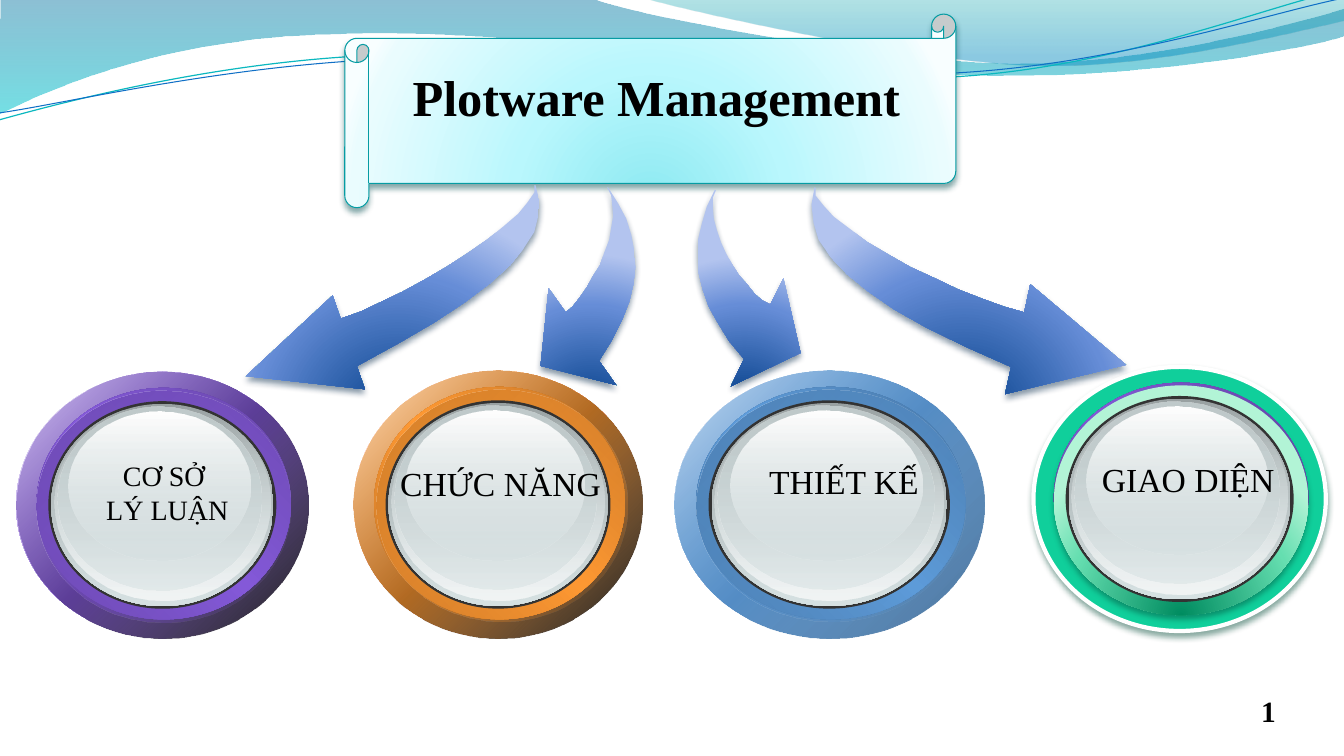
import math
from dataclasses import dataclass
from typing import Optional, Union

import pptx
import pptx.dml.color
import pptx.enum.shapes
import pptx.enum.text
import pptx.oxml.ns
import pptx.util
from lxml import etree

Inches, Pt = pptx.util.Inches, pptx.util.Pt
MSO_SHAPE = pptx.enum.shapes.MSO_SHAPE
ALIGN = pptx.enum.text.PP_ALIGN
qn = pptx.oxml.ns.qn
FONT = "Times New Roman"
Box = tuple[float, float, float, float]
Point = tuple[float, float]


@dataclass
class Gradient:
    """Stops are (position %, colour[, opacity %]); no angle means radial."""
    stops: list[tuple]
    angle: Optional[int] = None


Fill = Union[str, Gradient, None]


@dataclass
class Outline:
    """A segment of one point is a line, of three points a curve."""
    start: Point
    segments: list[list[Point]]
    fill: Fill = None
    line: Optional[tuple[str, float]] = None
    box: Optional[Box] = None
    rotation: float = 0
    shadow: Optional[str] = None


@dataclass
class Ring:
    box: Box  # fractions of the orb's box
    fill: Fill
    line: Optional[tuple[str, float]] = None
    shadow: Optional[str] = None


@dataclass
class Orb:
    box: Box
    rims: list[Ring]
    label: list[str]
    label_box: Box
    size: int = 24
    wrap: bool = True


def sub(parent, tag: str, **attrs):
    return etree.SubElement(parent, qn(tag), {k: str(v) for k, v in attrs.items()})


def rgb(color: str):
    return pptx.dml.color.RGBColor.from_string(color)


def paint(sp, fill: Fill, line=None, shadow: Optional[str] = None) -> None:
    sp.shadow.inherit = False
    if fill is None:
        sp.fill.background()
    else:
        sp.fill.solid()
        sp.fill.fore_color.rgb = rgb(fill if isinstance(fill, str) else "FFFFFF")
    if isinstance(fill, Gradient):
        solid = sp._element.spPr.find(qn("a:solidFill"))
        grad = etree.Element(qn("a:gradFill"), rotWithShape="1")
        stops = sub(grad, "a:gsLst")
        for pos, color, *alpha in fill.stops:
            clr = sub(sub(stops, "a:gs", pos=pos * 1000), "a:srgbClr", val=color)
            for a in alpha:
                sub(clr, "a:alpha", val=a * 1000)
        if fill.angle is None:
            sub(sub(grad, "a:path", path="circle"), "a:fillToRect",
                l=50000, t=130000, r=50000, b=-30000)
        else:
            sub(grad, "a:lin", ang=fill.angle * 60000, scaled=1)
        solid.getparent().replace(solid, grad)
    if line:
        sp.line.color.rgb = rgb(line[0])
        sp.line.width = Pt(line[1])
    else:
        sp.line.fill.background()
    if shadow:
        outer = sub(sp._element.spPr.find(qn("a:effectLst")), "a:outerShdw", blurRad=Pt(4.5),
                    dist=Pt(3), dir=90 * 60000, algn="ctr", rotWithShape=0)
        sub(sub(outer, "a:srgbClr", val=shadow), "a:alpha", val=48000)


def write(tf, lines: list[str], size: int, align=ALIGN.CENTER, bold: bool = False) -> None:
    for i, text in enumerate(lines):
        p = tf.add_paragraph() if i else tf.paragraphs[0]
        p.alignment = align
        r = p.add_run()
        r.text = text
        r.font.name, r.font.size, r.font.bold = FONT, Pt(size), bold
        r.font.color.rgb = rgb("000000")


def add_label(shapes, box: Box, lines: list[str], size: int, wrap: bool = True, **style) -> None:
    tf = shapes.add_textbox(*map(Inches, box)).text_frame
    tf.word_wrap = wrap
    write(tf, lines, size, **style)


def add_outline(shapes, o: Outline) -> None:
    """Turn the points back about the box centre, then rotate the shape itself."""
    def place(pt: Point) -> Point:
        x, y = pt
        if o.box:
            cx, cy = o.box[0] + o.box[2] / 2, o.box[1] + o.box[3] / 2
            a = math.radians(-o.rotation)
            dx, dy = x - cx, y - cy
            x = cx + dx * math.cos(a) - dy * math.sin(a)
            y = cy + dx * math.sin(a) + dy * math.cos(a)
        return Inches(x), Inches(y)

    builder = shapes.build_freeform(*place(o.start))
    builder.add_line_segments([place(pt) for seg in o.segments for pt in seg],
                              close=o.fill is not None)
    sp = builder.convert_to_shape()
    steps = iter(list(sp._element.iter(qn("a:lnTo"))))
    for seg in o.segments:
        lines = [next(steps) for _ in seg]
        if len(lines) == 3:
            curve = etree.Element(qn("a:cubicBezTo"))
            lines[0].addprevious(curve)
            for ln in lines:
                curve.append(ln[0])
                ln.getparent().remove(ln)
    sp.rotation = o.rotation
    paint(sp, o.fill, o.line, o.shadow)


def add_orb(shapes, orb: Orb) -> None:
    group = shapes.add_group_shape().shapes
    x, y, w, h = orb.box
    for ring in orb.rims + GLASS:
        fx, fy, fw, fh = ring.box
        s = group.add_shape(MSO_SHAPE.OVAL, Inches(x + fx * w), Inches(y + fy * h),
                            Inches(fw * w), Inches(fh * h))
        paint(s, ring.fill, ring.line, ring.shadow)
    add_label(group, orb.label_box, orb.label, orb.size, orb.wrap)


WHOLE, RIM, INNER_RIM = (0, 0, 1, 1), (.07, .06, .87, .87), (.07, .07, .87, .87)
GLASS = [
    Ring((.11, .11, .78, .78), "333333"),
    Ring((.12, .12, .76, .76), Gradient([(0, "99A1A2"), (100, "D6E1E2")], 90)),
    Ring((.13, .12, .74, .74), Gradient([(0, "D6E1E2", 0), (100, "F2F5F5")], 90)),
    Ring((.14, .13, .7, .69), Gradient([(0, "C1CBCC"), (100, "D6E1E2", 48)], 90)),
    Ring((.18, .15, .62, .56), Gradient([(0, "FFFFFF"), (100, "D6E1E2", 38)], 90)),
]


def rims(color: str, edge: str, inner: str, corner: tuple, shift: float = 0) -> list[Ring]:
    x, y, w, h = INNER_RIM
    return [
        Ring(WHOLE, Gradient([(0, "FFFFFF"), (50, color), (100, "FFFFFF")], 45)),
        Ring(WHOLE, Gradient([(0, color, 32), (100, *corner)], 45)),
        Ring(RIM, Gradient([(0, edge), (50, color), (100, edge)], 315)),
        Ring((x + shift, y, w, h), Gradient([(0, inner), (100, color, 0)], 45)),
    ]


GREEN_RIMS = [
    Ring(WHOLE, "10CF9B", ("FFFFFF", 3), "044A37"),
    Ring(RIM, Gradient([(0, "6645A7"), (50, "855ADA"), (100, "6645A7")], 315)),
    Ring(INNER_RIM, Gradient([(0, "008C60"), (68, "65DEB0"), (100, "B2F4D6")]), None, "044A37"),
]
DARK = ("000000", 90)
ORBS = [
    Orb((.16, 3.69, 2.9, 2.64), rims("855ADA", "6645A7", "6D4AB3", DARK),
        ["CƠ SỞ ", "LÝ LUẬN"], (.59, 4.5, 2.14, .77), 20),
    Orb((10.25, 3.64, 2.9, 2.62), GREEN_RIMS, ["GIAO DIỆN"], (10.82, 4.5, 1.93, .5), wrap=False),
    Orb((3.51, 3.68, 2.86, 2.65), rims("FF9933", "C37527", "D17E2A", DARK, .01),
        ["CHỨC NĂNG"], (3.86, 4.54, 2.21, .5), wrap=False),
    Orb((6.69, 3.68, 3.07, 2.65), rims("5E9CDA", "4877A7", "4D80B3", ("43709C",)),
        ["THIẾT KẾ"], (6.9, 4.52, 2.94, .5)),
]
WAVES = [
    Outline((0, 0), [[(5.87, -.01)], [(6.34, .17), (8.84, .63), (10.11, .63)],
                     [(11.37, .63), (12.77, .26), (13.33, .09)], [(13.34, .36)],
                     [(13.11, .44), (11.59, .76), (9.94, .75)],
                     [(8.29, .75), (5.09, .28), (3.43, .34)],
                     [(1.72, .36), (.61, .83), (-.01, 1.13)]],
            Gradient([(0, "0074A1", 45), (100, "00C6CF", 55)], 90)),
    Outline((6.39, -.01), [[(6.79, .11), (9.09, .62), (10.25, .65)],
                           [(11.4, .69), (12.82, .32), (13.33, .21)], [(13.33, 0)]],
            Gradient([(0, "00A1A9", 30), (80, "008BBF", 45)], 90)),
    Outline((-.01, 1.19), [[(.64, 1.01), (2.11, .62), (3.69, .55)],
                           [(5.27, .48), (7.89, .87), (9.5, .76)],
                           [(11.1, .66), (12.51, .08), (13.31, -.1)]],
            None, ("0AB8BF", .85), (-.03, .22, 13.36, .71), 357.3),
    Outline((0, 1.12), [[(.63, 1.03), (2.18, .66), (3.78, .59)],
                        [(5.37, .53), (7.96, .82), (9.55, .72)],
                        [(11.14, .62), (12.55, .14), (13.33, -.02)]],
            None, ("0F6FC6", .75), (-.02, .3, 13.38, .58), 357.3),
]
ARROWS = [
    ((2.29, 2.32, 3.32, 1.39), 341.5, [
        (5.31, 1.83), (5.35, 1.99), (5.34, 2.14), (5.3, 2.3), (5.19, 2.47), (5.06, 2.63), (4.86, 2.81),
        (4.62, 2.99), (4.32, 3.19), (3.96, 3.4), (3.54, 3.63), (3.62, 3.86), (2.44, 3.73), (3.3, 2.93),
        (3.38, 3.16), (3.58, 3.09), (3.79, 2.99), (4, 2.89), (4.22, 2.77), (4.44, 2.64), (4.64, 2.51),
        (4.84, 2.37), (5, 2.24), (5.14, 2.12), (5.23, 2.01), (5.3, 1.91), (5.3, 1.84)]),
    ((7.85, 2.23, 3.42, 1.57), 13.2, [
        (8.08, 1.86), (8.05, 2.03), (8.07, 2.21), (8.12, 2.38), (8.24, 2.55), (8.4, 2.72), (8.61, 2.89),
        (8.87, 3.07), (9.19, 3.25), (9.58, 3.44), (10.03, 3.64), (9.97, 3.91), (11.17, 3.62), (10.22, 2.82),
        (10.16, 3.1), (9.95, 3.04), (9.73, 2.96), (9.5, 2.87), (9.27, 2.76), (9.03, 2.65), (8.82, 2.53),
        (8.6, 2.4), (8.43, 2.27), (8.27, 2.15), (8.17, 2.04), (8.09, 1.94), (8.09, 1.86)]),
    ((5.08, 2.16, 1.57, 1.65), 324.7, [
        (6.03, 1.86), (6.13, 2.02), (6.21, 2.17), (6.26, 2.33), (6.29, 2.49), (6.3, 2.65), (6.28, 2.82),
        (6.24, 2.99), (6.17, 3.17), (6.07, 3.37), (5.94, 3.58), (6.11, 3.82), (5.36, 3.63), (5.44, 2.86),
        (5.61, 3.1), (5.68, 3.04), (5.75, 2.95), (5.82, 2.85), (5.88, 2.74), (5.95, 2.63), (5.99, 2.51),
        (6.04, 2.38), (6.06, 2.26), (6.08, 2.14), (6.07, 2.03), (6.06, 1.94), (6.02, 1.86)]),
    ((6.65, 2.12, 1.47, 1.68), 26.2, [
        (7.09, 1.88), (7.01, 2.05), (6.96, 2.22), (6.92, 2.39), (6.92, 2.55), (6.93, 2.71), (6.97, 2.87),
        (7.03, 3.04), (7.12, 3.2), (7.23, 3.38), (7.38, 3.56), (7.25, 3.83), (7.94, 3.5), (7.77, 2.76),
        (7.64, 3.02), (7.56, 2.98), (7.48, 2.91), (7.41, 2.82), (7.33, 2.73), (7.26, 2.62), (7.2, 2.51),
        (7.15, 2.4), (7.11, 2.28), (7.08, 2.17), (7.07, 2.06), (7.07, 1.96), (7.1, 1.89)]),
]
ARROW_FILL = Gradient([(0, "003D87"), (68, "668DD7"), (100, "B3C4EF")])
SCROLL_FILL = Gradient([(0, "8BE9F1"), (43, "B9F7FD"), (93, "EAFCFE"), (100, "F8FEFF")])


def add_scroll(shapes) -> None:
    s = shapes.add_shape(MSO_SHAPE.HORIZONTAL_SCROLL, *map(Inches, (3.42, .14, 6.06, 1.92)))
    paint(s, SCROLL_FILL, ("069CA3", .75), "024B4E")
    tf = s.text_frame
    tf.word_wrap = True
    tf.vertical_anchor = pptx.enum.text.MSO_ANCHOR.MIDDLE
    tf.margin_bottom = Inches(.33)
    write(tf, ["Plotware Management"], 36, bold=True)


def main() -> None:
    prs = pptx.Presentation()
    prs.slide_width, prs.slide_height = Inches(13.33), Inches(7.5)
    shapes = prs.slides.add_slide(prs.slide_layouts[6]).shapes
    for wave in WAVES:
        add_outline(shapes, wave)
    for orb in ORBS:
        add_orb(shapes, orb)
    add_scroll(shapes)
    for box, rotation, (start, *rest) in ARROWS:
        add_outline(shapes, Outline(start, [[pt] for pt in rest], ARROW_FILL, None,
                                    box, rotation, "042747"))
    add_label(shapes, (12.41, 6.83, .67, .45), ["1"], 21, align=ALIGN.LEFT, bold=True)
    prs.save("out.pptx")


if __name__ == "__main__":
    main()
